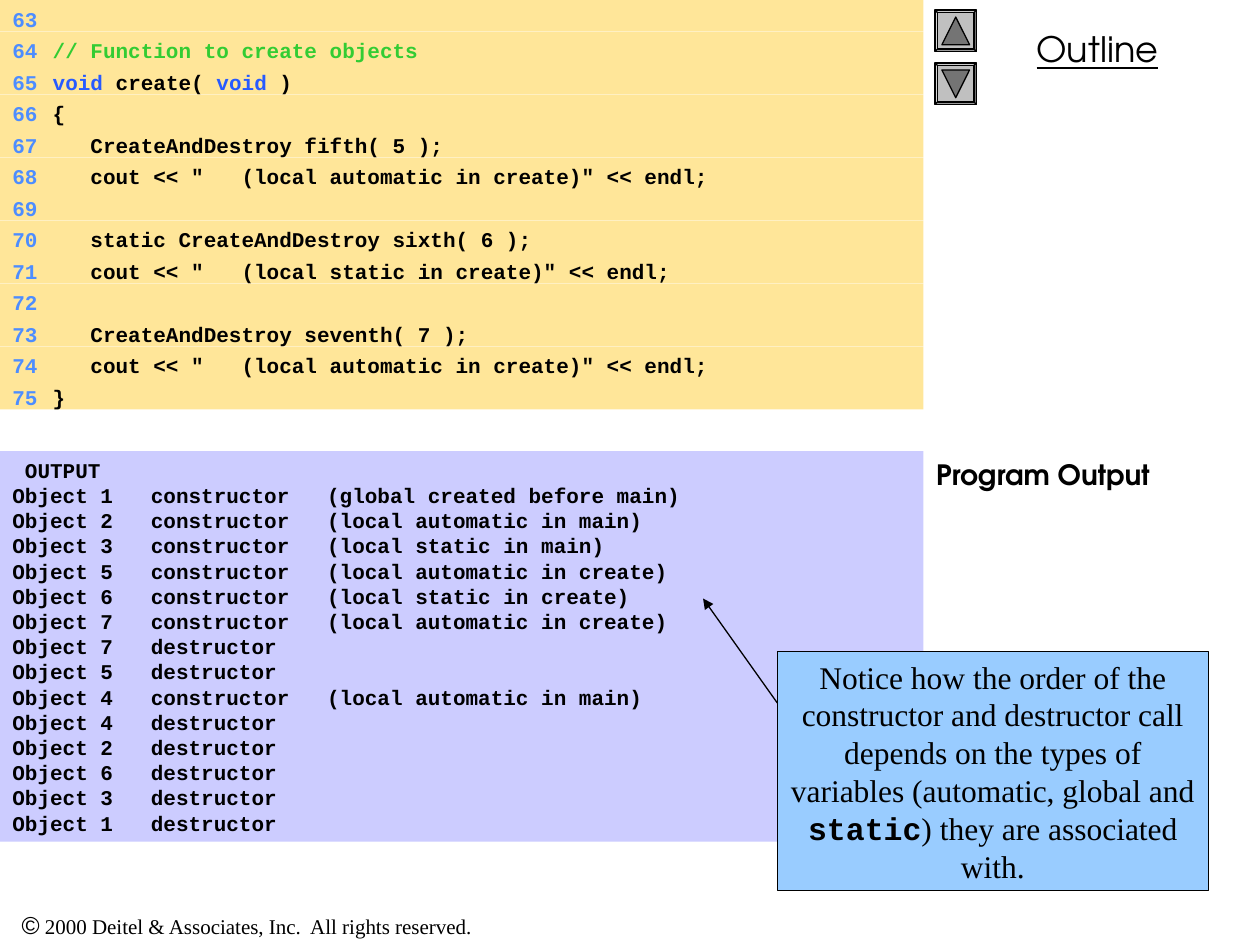
from lxml import etree
from pptx import Presentation
from pptx.dml.color import RGBColor
from pptx.enum.shapes import MSO_CONNECTOR, MSO_SHAPE
from pptx.enum.text import MSO_ANCHOR, MSO_AUTO_SIZE, PP_ALIGN
from pptx.oxml.ns import qn
from pptx.util import Inches, Pt

RECTANGLE, BEVEL, TRIANGLE = MSO_SHAPE.RECTANGLE, MSO_SHAPE.BEVEL, MSO_SHAPE.ISOSCELES_TRIANGLE
LEFT, CENTER = PP_ALIGN.LEFT, PP_ALIGN.CENTER

MONO, SERIF, SANS, HEADING = "Courier New", "Times New Roman", "Arial", "TeX Gyre Adventor"
COLORS = {
    "text": "000000", "number": "4D8DFF", "comment": "33CC33", "keyword": "275AFF",
    "code": "FFE699", "output": "CCCCFF", "callout": "99CCFF",
    "button": "C0C0C0", "arrow": "747474",
}

FIRST_LINE = 63
CODE = [
    [],
    [("// Function to create objects", "comment")],
    [("void", "keyword"), (" create( ", "text"), ("void", "keyword"), (" )", "text")],
    [("{", "text")],
    [("   CreateAndDestroy fifth( 5 );", "text")],
    [('   cout << "   (local automatic in create)" << endl;', "text")],
    [],
    [("   static CreateAndDestroy sixth( 6 );", "text")],
    [('   cout << "   (local static in create)" << endl;', "text")],
    [],
    [("   CreateAndDestroy seventh( 7 );", "text")],
    [('   cout << "   (local automatic in create)" << endl;', "text")],
    [("}", "text")],
]
OUTPUT = [
    " OUTPUT",
    "Object 1   constructor   (global created before main)",
    "Object 2   constructor   (local automatic in main)",
    "Object 3   constructor   (local static in main)",
    "Object 5   constructor   (local automatic in create)",
    "Object 6   constructor   (local static in create)",
    "Object 7   constructor   (local automatic in create)",
    "Object 7   destructor",
    "Object 5   destructor",
    "Object 4   constructor   (local automatic in main)",
    "Object 4   destructor",
    "Object 2   destructor",
    "Object 6   destructor",
    "Object 3   destructor",
    "Object 1   destructor",
]
CALLOUT = [
    ("Notice how the order of the constructor and destructor call depends on "
     "the types of variables (automatic, global and ", SERIF, False),
    ("static", MONO, True),
    (") they are associated with.", SERIF, False),
]

PANEL_WIDTH, ROW_HEIGHT = 7.33, 0.25
OUTPUT_TOP = 3.58
TITLE_TOP = 0.92
BUTTON_LEFT, BUTTON_SIZE, ARROW_SIZE = 7.42, 0.33, 0.22
BUTTONS = [(0.08, 0), (0.5, 180)]  # top, rotation of the arrow


def rgb(name):
    return RGBColor.from_string(COLORS[name])


def add_block(page, kind, left, top, width, height, fill, outlined=False):
    block = page.shapes.add_shape(
        kind, Inches(left), Inches(top), Inches(width), Inches(height))
    block.shadow.inherit = False
    block.fill.solid()
    block.fill.fore_color.rgb = rgb(fill)
    if outlined:
        block.line.color.rgb = rgb("text")
        block.line.width = Pt(0.75)
    else:
        block.line.fill.background()
    block.text_frame.word_wrap = True
    block.text_frame.vertical_anchor = MSO_ANCHOR.TOP
    return block


def style(para, size, font=None, bold=None, align=LEFT):
    para.alignment = align
    para.font.size = Pt(size)
    para.font.name = font
    para.font.bold = bold
    para.font.color.rgb = rgb("text")


def add_span(para, text, color="text"):
    span = para.add_run()
    span.text = text
    span.font.color.rgb = rgb(color)
    return span


def add_label(page, left, top, width, height):
    """Add a wrapping text box and return its first paragraph."""
    box = page.shapes.add_textbox(
        Inches(left), Inches(top), Inches(width), Inches(height))
    box.text_frame.word_wrap = True
    return box.text_frame.paragraphs[0]


def add_number_tabs(para):
    """Right-align the line number and start the code at one column."""
    tabs = etree.SubElement(para._p.get_or_add_pPr(), qn("a:tabLst"))
    for position, align in ((0.15, "r"), (0.32, "l")):
        etree.SubElement(tabs, qn("a:tab"), pos=str(Inches(position)), algn=align)


def add_code(page):
    for index, spans in enumerate(CODE):
        row = add_block(page, RECTANGLE, 0, index * ROW_HEIGHT,
                        PANEL_WIDTH, ROW_HEIGHT, "code")
        para = row.text_frame.paragraphs[0]
        add_number_tabs(para)
        style(para, 12, MONO, True)
        add_span(para, f"\t{FIRST_LINE + index}\t", "number")
        for text, color in spans:
            add_span(para, text, color)


def add_output(page):
    panel = add_block(page, RECTANGLE, 0, OUTPUT_TOP, PANEL_WIDTH, 3.1, "output")
    panel.text_frame.text = "\n".join(OUTPUT)
    for para in panel.text_frame.paragraphs:
        style(para, 12, MONO, True)


def add_callout(page):
    box = add_block(page, RECTANGLE, 6.17, 5.17, 3.42, 1.9, "callout", outlined=True)
    para = box.text_frame.paragraphs[0]
    style(para, 18, align=CENTER)
    for text, font, bold in CALLOUT:
        span = add_span(para, text)
        span.font.name = font
        span.font.bold = bold

    pointer = page.shapes.add_connector(
        MSO_CONNECTOR.STRAIGHT, Inches(6.17), Inches(5.58), Inches(5.58), Inches(4.75))
    pointer.line.color.rgb = rgb("text")
    pointer.line.width = Pt(0.75)
    etree.SubElement(pointer.line._get_or_add_ln(), qn("a:tailEnd"), type="triangle")
    etree.SubElement(pointer._element.spPr, qn("a:effectLst"))


def add_buttons(page):
    inset = (BUTTON_SIZE - ARROW_SIZE) / 2
    for top, rotation in BUTTONS:
        button = add_block(page, BEVEL, BUTTON_LEFT, top,
                           BUTTON_SIZE, BUTTON_SIZE, "button", outlined=True)
        button.adjustments[0] = 0.06
        arrow = add_block(page, TRIANGLE, BUTTON_LEFT + inset, top + inset,
                          ARROW_SIZE, ARROW_SIZE, "arrow", outlined=True)
        arrow.rotation = rotation


def add_labels(page):
    rights = add_label(page, 0, 7.17, 3.92, 0.34)
    style(rights, 12, align=CENTER)
    symbol = add_span(rights, "©")
    symbol.font.name, symbol.font.size = SANS, Pt(14)
    notice = add_span(rights, " 2000 Deitel & Associates, Inc.  All rights reserved.")
    notice.font.name = SERIF

    outline = add_label(page, 7.42, 0.17, 2.58, 0.44)
    style(outline, 20, HEADING, align=CENTER)
    outline.font.underline = True
    add_span(outline, "Outline")


def set_title(page):
    title = page.shapes.title
    title.left, title.top = Inches(PANEL_WIDTH), Inches(TITLE_TOP)
    title.width, title.height = Inches(2.67), Inches(6.58)
    frame = title.text_frame
    frame.text = "Program Output"
    frame.auto_size = MSO_AUTO_SIZE.NONE
    frame.vertical_anchor = MSO_ANCHOR.TOP
    frame.margin_top = Inches(OUTPUT_TOP - TITLE_TOP + 0.05)  # level with the output
    style(frame.paragraphs[0], 16, HEADING, True)


def main():
    deck = Presentation()
    deck.slide_width, deck.slide_height = Inches(10), Inches(7.5)
    page = deck.slides.add_slide(deck.slide_layouts[5])
    add_labels(page)
    add_buttons(page)
    set_title(page)
    add_code(page)
    add_output(page)
    add_callout(page)
    deck.save("out.pptx")


if __name__ == "__main__":
    main()
